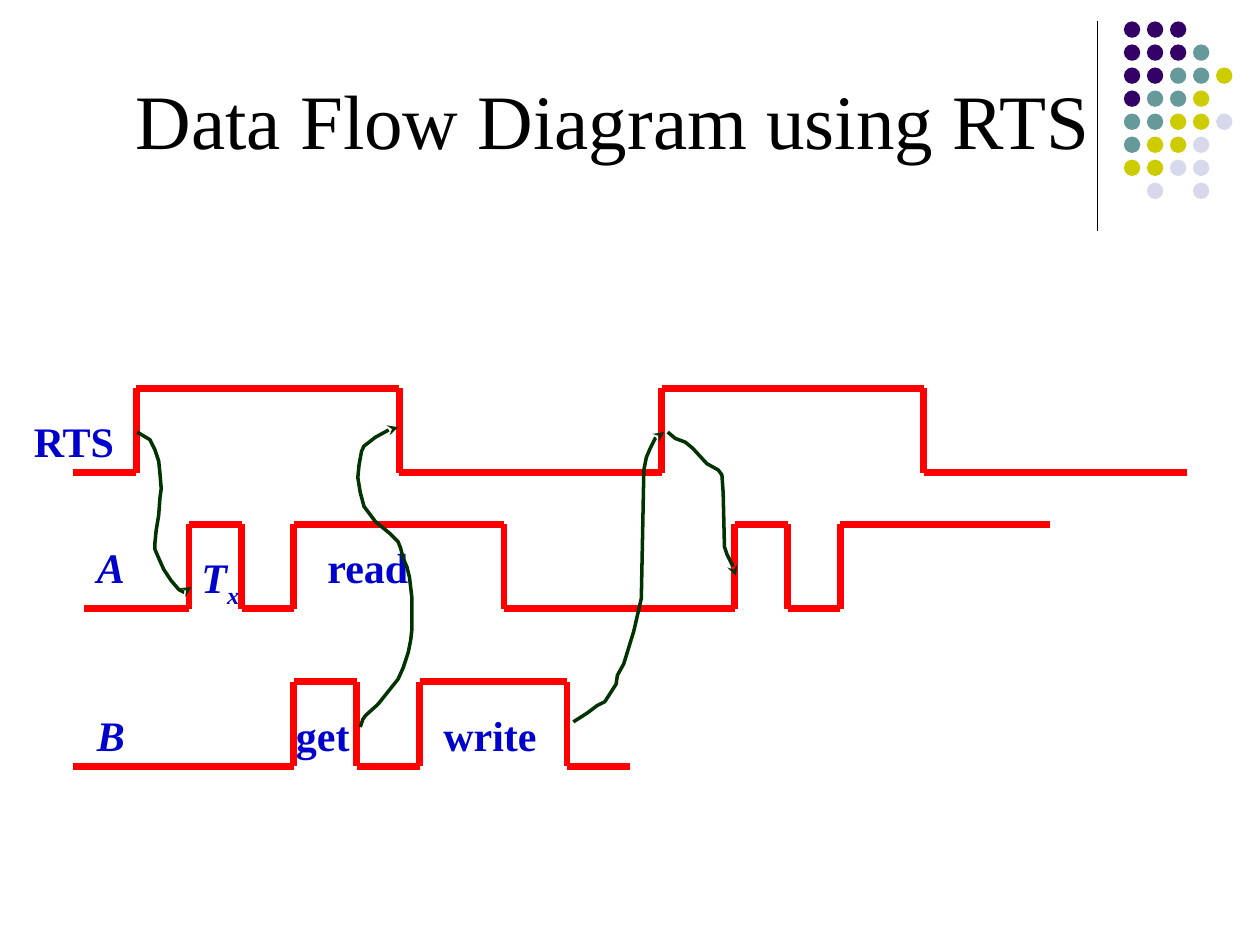
from lxml import etree
from pptx import Presentation
from pptx.dml.color import RGBColor
from pptx.enum.shapes import MSO_CONNECTOR, MSO_SHAPE
from pptx.oxml.ns import qn
from pptx.util import Inches, Pt

LINE, OVAL = MSO_CONNECTOR.STRAIGHT, MSO_SHAPE.OVAL
FONT = "Times New Roman"
BLACK = RGBColor(0x00, 0x00, 0x00)
RED = RGBColor(0xFF, 0x00, 0x00)
BLUE = RGBColor(0x00, 0x00, 0xCC)
GREEN = RGBColor(0x00, 0x33, 0x00)
DOTS = {
    "P": RGBColor(0x33, 0x00, 0x66),
    "T": RGBColor(0x66, 0x99, 0x99),
    "Y": RGBColor(0xCC, 0xCC, 0x00),
    "L": RGBColor(0xD8, 0xD8, 0xEC),
}
GRID = ["PPP", "PPPT", "PPTTY", "PTTY", "TTYYL", "TYYL", "YYLL", " L L"]

# Signals, in inches from the diagram's corner: base line, start, edges, end
RISE = 0.67
WAVES = [
    (0.75, 0.08, [0.58, 2.67, 4.75, 6.83], 8.92),
    (1.83, 0.17, [1, 1.42, 1.83, 3.5, 5.33, 5.75, 6.17], 7.83),
    (3.08, 0.08, [1.83, 2.33, 2.83, 4], 4.5),
]

# Labels: left, top, text, subscript, italic
LABELS = [
    (-0.33, 0.25, "RTS", "", False),
    (0.17, 1.25, "A", "", True),
    (0.17, 2.58, "B", "", True),
    (1, 1.33, "T", "x", True),
    (2, 1.25, "read", "", False),
    (1.75, 2.58, "get", "", False),
    (2.92, 2.58, "write", "", False),
]

# Cause-and-effect arrows between signals, each from tail to head
ARROWS = [
    # RTS rises, A sends
    [(0.59, 0.43), (0.64, 0.46), (0.69, 0.49), (0.73, 0.57), (0.76, 0.66),
     (0.77, 0.76), (0.78, 0.88), (0.77, 0.95), (0.76, 1.09), (0.74, 1.21),
     (0.73, 1.31), (0.73, 1.36), (0.76, 1.43), (0.8, 1.52), (0.86, 1.61),
     (0.92, 1.68), (0.96, 1.7), (0.99, 1.7), (1.01, 1.67), (1.02, 1.66)],
    # B gets, RTS falls
    [(2.36, 2.77), (2.38, 2.71), (2.4, 2.68), (2.5, 2.59), (2.58, 2.49),
     (2.66, 2.39), (2.7, 2.3), (2.74, 2.18), (2.76, 2.08), (2.77, 1.99),
     (2.77, 1.75), (2.75, 1.58), (2.73, 1.5), (2.7, 1.43), (2.68, 1.35),
     (2.66, 1.3), (2.59, 1.23), (2.48, 1.14), (2.39, 1.02), (2.36, 0.91),
     (2.34, 0.79), (2.35, 0.69), (2.37, 0.58), (2.39, 0.54), (2.48, 0.47),
     (2.59, 0.41), (2.66, 0.39)],
    # B writes, RTS rises
    [(4.05, 2.73), (4.16, 2.66), (4.24, 2.6), (4.3, 2.57), (4.39, 2.43),
     (4.4, 2.36), (4.45, 2.27), (4.53, 2.01), (4.59, 1.75), (4.6, 1.24),
     (4.61, 0.73), (4.63, 0.63), (4.66, 0.56), (4.7, 0.48), (4.77, 0.43)],
    # RTS rises, A sends again
    [(4.8, 0.43), (4.86, 0.48), (4.94, 0.51), (5, 0.56), (5.11, 0.68),
     (5.2, 0.73), (5.23, 0.77), (5.24, 0.91), (5.25, 1.34), (5.27, 1.4),
     (5.31, 1.48), (5.34, 1.57)],
]


def put(slide, box, text, size=24, color=BLUE, bold=False, italic=False,
        sub="", wrap=True):
    frame = slide.shapes.add_textbox(*map(Inches, box)).text_frame
    frame.word_wrap = wrap
    para = frame.paragraphs[0]
    for part in filter(None, (text, sub)):
        run = para.add_run()
        run.text = part
        font = run.font
        font.name, font.size = FONT, Pt(size)
        font.bold, font.italic = bold, italic
        font.color.rgb = color
    if sub:
        font._element.set("baseline", "-25000")


def rule(slide, start, end, color, width):
    line = slide.shapes.add_connector(LINE, *map(Inches, (*start, *end)))
    line.line.color.rgb = color
    line.line.width = Pt(width)
    etree.SubElement(line._element.spPr, qn("a:effectLst"))


def wave(slide, left, base, start, edges, end):
    stops = [start, *edges, end]
    high = base - RISE
    for i, (a, b) in enumerate(zip(stops, stops[1:])):
        level = high if i % 2 else base
        rule(slide, (left + a, level), (left + b, level), RED, 4)
    for x in edges:
        rule(slide, (left + x, base), (left + x, high), RED, 4)


def arrow(slide, left, top, points):
    start, *rest = [(Inches(left + x), Inches(top + y)) for x, y in points]
    form = slide.shapes.build_freeform(*start)
    form.add_line_segments(rest, close=False)
    curve = form.convert_to_shape()
    curve.shadow.inherit = False
    curve.fill.background()
    curve.line.color.rgb = GREEN
    curve.line.width = Pt(2)
    etree.SubElement(curve.line._get_or_add_ln(), qn("a:tailEnd"),
                     type="stealth")


def corner(slide, left, top, height):
    # Rule beside the grid of dots
    rule(slide, (left, top), (left, top + height), BLACK, 0.75)
    step, size = 0.18, 0.13
    step = 1.28 / (len(GRID) - 1)
    for row, marks in enumerate(GRID):
        for col, mark in enumerate(marks):
            if mark == " ":
                continue
            box = (left + 0.21 + col * step, top + row * step, size, size)
            dot = slide.shapes.add_shape(OVAL, *map(Inches, box))
            dot.shadow.inherit = False
            dot.fill.solid()
            dot.fill.fore_color.rgb = DOTS[mark]
            dot.line.fill.background()


def chart(slide, left, top):
    for base, *rest in WAVES:
        wave(slide, left, top + base, *rest)
    for x, y, text, sub, italic in LABELS:
        put(slide, (left + x, top + y, 1.08, 0.5), text, sub=sub,
            bold=True, italic=italic)
    for points in ARROWS:
        arrow(slide, left, top, points)


def main():
    deck = Presentation()
    deck.slide_width, deck.slide_height = Inches(10), Inches(7.5)
    slide = deck.slides.add_slide(deck.slide_layouts[6])
    corner(slide, 8.71, 0.17, 1.66)
    chart(slide, 0.5, 3)
    put(slide, (0.98, 0.53, 7.81, 0.84), "Data Flow Diagram using RTS",
        size=44, color=BLACK, wrap=False)
    deck.save("out.pptx")


if __name__ == "__main__":
    main()
